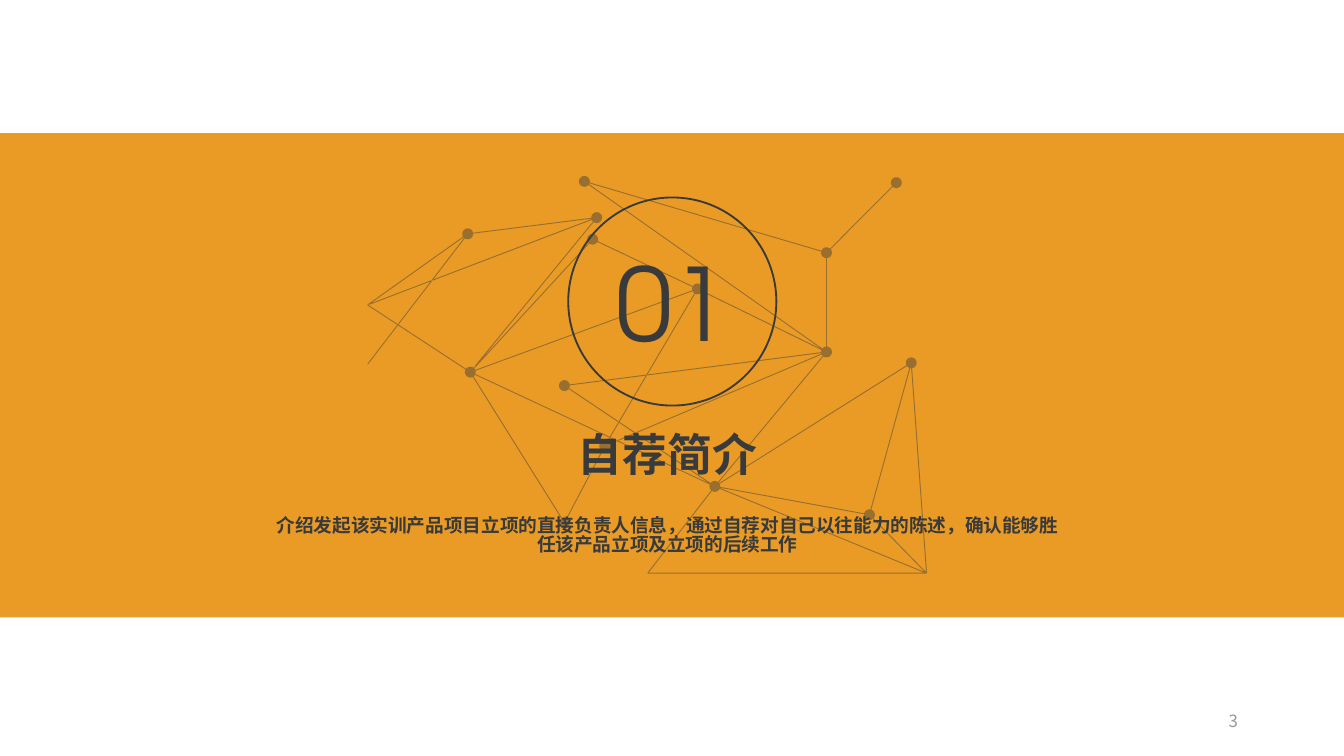
import math

from lxml import etree
from pptx import Presentation
from pptx.dml.color import RGBColor
from pptx.enum import shapes, text
from pptx.oxml.ns import qn
from pptx.util import Pt

ORANGE = RGBColor(0xEA, 0x9B, 0x26)
CHARCOAL = RGBColor(0x38, 0x3A, 0x3B)
GREY = RGBColor(0x96, 0x97, 0x97)
CJK = "Noto Sans CJK SC"

DOT_RADIUS = 2.9
EDGE_WIDTH = 0.5
DOTS = {
    "A": (116.6, 2.9), "B": (283.7, 3.6), "C": (246.3, 41.1),
    "D": (246.3, 94.3), "E": (177.2, 60.5), "F": (121, 33.9),
    "G": (123.2, 22.3), "H": (54.1, 31), "I": (55.5, 105.1),
    "J": (105.9, 112.3), "K": (127.5, 144.7), "L": (105.9, 185.8),
    "M": (186.5, 166.3), "N": (269.3, 181.5), "O": (291.7, 100.1),
}
CORNERS = {"P": (0.5, 69.1), "Q": (0.5, 100.8),
           "R": (150.5, 212.8), "S": (299.9, 212.8)}
EDGES = ("AC AD BC CD ED FE FI GI GH GP HP HQ PI IE IL IM EK KL "
         "JD JM KD MD MO MN MR MS NO NS OS RS").split()


def write(frame, wording, align, inset, font):
    frame.text = wording
    layout = {"word_wrap": True, "auto_size": text.MSO_AUTO_SIZE.NONE,
              "vertical_anchor": text.MSO_ANCHOR.MIDDLE}
    layout.update({f"margin_{side}": Pt(inset[side == "top" or side == "bottom"])
                   for side in ("left", "right", "top", "bottom")})
    for name, value in layout.items():
        setattr(frame, name, value)
    line = frame.paragraphs[0]
    line.alignment = align
    line.space_before = Pt(0)
    run = line.runs[0]
    run.font.color.rgb = font.pop("color")
    for name, value in font.items():
        setattr(run.font, name, value)
    etree.SubElement(run.font._element, qn("a:ea"), typeface=CJK)
    return line


def place(part, box):
    for name, value in zip(("left", "top", "width", "height"), box):
        setattr(part, name, Pt(value))
    part.element.getparent().append(part.element)


def edge_outline(start, end):
    (x1, y1), (x2, y2) = ((DOTS | CORNERS)[key] for key in (start, end))
    length = math.dist((x1, y1), (x2, y2))
    ux, uy = (x2 - x1) / length, (y2 - y1) / length
    near = DOT_RADIUS if start in DOTS else 0
    far = length - (DOT_RADIUS if end in DOTS else 0)
    half = EDGE_WIDTH / 2
    return [(x1 + ux * along - uy * across, y1 + uy * along + ux * across)
            for along, across in ((near, half), (far, half),
                                  (far, -half), (near, -half))]


def dot_outline(x, y, sides=24):
    return [(x + DOT_RADIUS * math.cos(math.tau * i / sides),
             y + DOT_RADIUS * math.sin(math.tau * i / sides))
            for i in range(sides)]


def add_network(slide, left, top):
    outlines = [dot_outline(*dot) for dot in DOTS.values()]
    outlines += [edge_outline(*edge) for edge in EDGES]
    outlines = [[(Pt(left + x), Pt(top + y)) for x, y in outline]
                for outline in outlines]
    builder = slide.shapes.build_freeform(*outlines[0][0])
    for first, *rest in outlines:
        builder.move_to(*first)
        builder.add_line_segments(rest, close=True)
    network = builder.convert_to_shape()
    network.shadow.inherit = False
    network.line.fill.background()
    network.fill.solid()
    network.fill.fore_color.rgb = CHARCOAL
    tint = network.element.spPr.find(".//" + qn("a:srgbClr"))
    etree.SubElement(tint, qn("a:alpha"), val="45000")


def add_number(slide, left, top, size):
    circle = slide.shapes.add_shape(
        shapes.MSO_SHAPE.OVAL, Pt(left), Pt(top), Pt(size), Pt(size))
    circle.shadow.inherit = False
    circle.fill.background()
    circle.line.color.rgb = CHARCOAL
    circle.line.width = Pt(1)
    write(circle.text_frame, "01", text.PP_ALIGN.CENTER, (7.2, 3.6),
          {"size": Pt(54), "name": "TeX Gyre Adventor", "color": CHARCOAL})


def add_section(slide, left, top, width, height):
    band = slide.shapes.add_shape(
        shapes.MSO_SHAPE.RECTANGLE, Pt(left), Pt(top), Pt(width), Pt(height))
    band.shadow.inherit = False
    band.fill.solid()
    band.fill.fore_color.rgb = ORANGE
    band.line.fill.background()

    add_network(slide, left + 196.5, top + 23)
    add_number(slide, left + 304.4, top + 34.5, 111.5)

    heading, summary = slide.placeholders
    place(heading, (left + 212.4, top + 150.5, 290.2, 42.5))
    write(heading.text_frame, "自荐简介", text.PP_ALIGN.CENTER, (1.4, 1.4),
          {"size": Pt(24), "name": "Manrope", "bold": True, "color": CHARCOAL})
    place(summary, (left + 145.4, top + 205.9, 424.1, 24.5))
    line = write(
        summary.text_frame,
        "介绍发起该实训产品项目立项的直接负责人信息，通过自荐对自己以往能力的陈述，"
        "确认能够胜任该产品立项及立项的后续工作",
        text.PP_ALIGN.CENTER, (0, 0),
        {"size": Pt(10), "name": CJK, "bold": True, "color": CHARCOAL})
    line.line_spacing = 0.85
    summary.text_frame.vertical_anchor = text.MSO_ANCHOR.TOP


def add_page_number(slide, left, top, width, height):
    page = slide.shapes.add_textbox(Pt(left), Pt(top), Pt(width), Pt(height))
    write(page.text_frame, "3", text.PP_ALIGN.RIGHT, (7.2, 3.6),
          {"size": Pt(9), "name": CJK, "color": GREY})


def main():
    deck = Presentation()
    deck.slide_width, deck.slide_height = Pt(720), Pt(405)
    slide = deck.slides.add_slide(deck.slide_layouts.get_by_name("Section Header"))
    add_page_number(slide, 508.3, 375.1, 162, 21.6)
    add_section(slide, 0, 71.3, 720, 259.5)
    deck.save("out.pptx")


if __name__ == "__main__":
    main()
